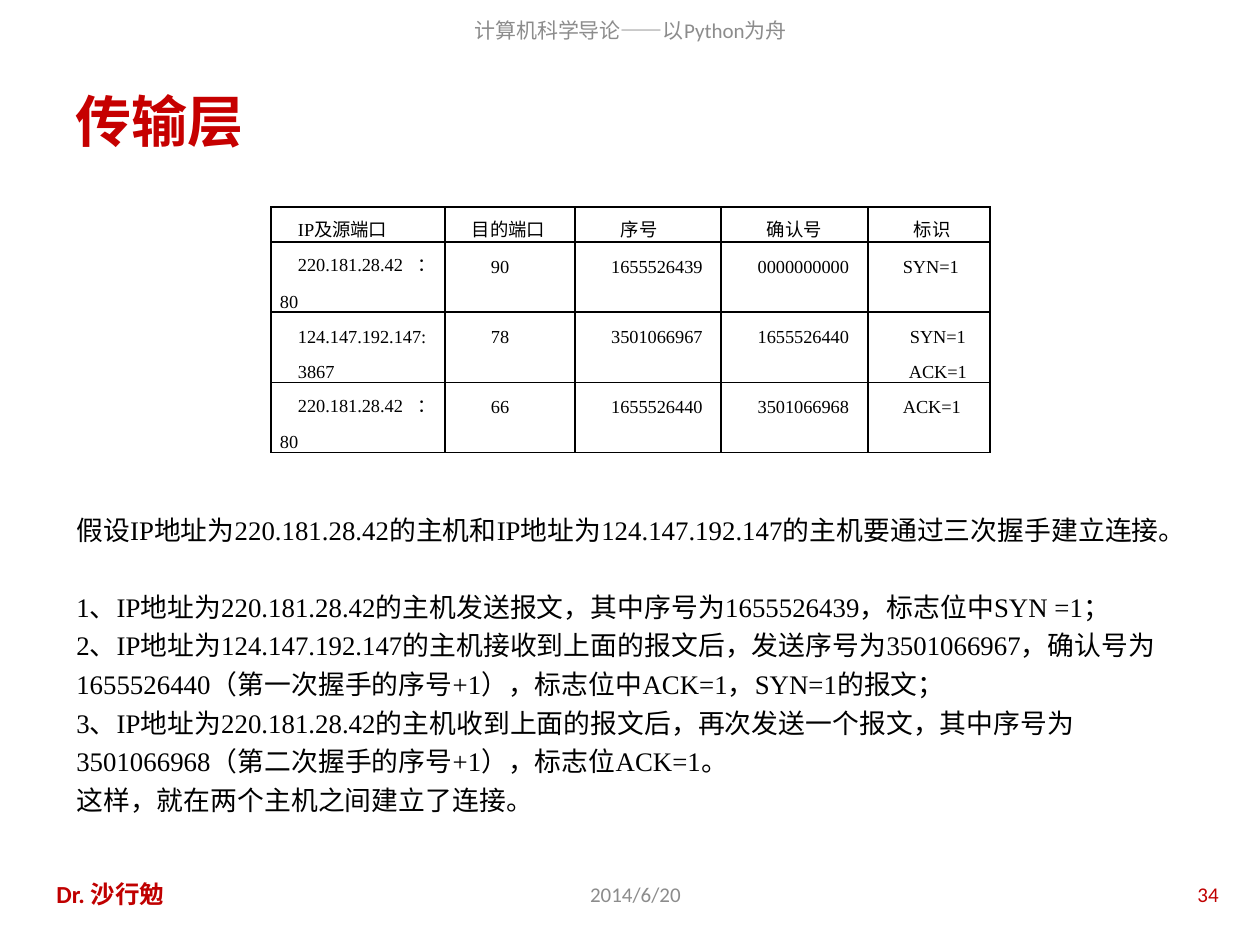
from typing import NamedTuple

from lxml import etree
from pptx import Presentation
from pptx.dml.color import RGBColor
from pptx.enum.lang import MSO_LANGUAGE_ID
from pptx.enum.text import MSO_ANCHOR, PP_ALIGN
from pptx.oxml.ns import qn
from pptx.util import Emu, Pt

LEFT, CENTER, RIGHT = PP_ALIGN.LEFT, PP_ALIGN.CENTER, PP_ALIGN.RIGHT
JUSTIFY = PP_ALIGN.JUSTIFY
TOP, MIDDLE = MSO_ANCHOR.TOP, MSO_ANCHOR.MIDDLE
CHINESE = MSO_LANGUAGE_ID.SIMPLIFIED_CHINESE

PX_PER_INCH = 126
COLORS = {"title": "C60000", "accent": "C00000", "muted": "8C8C8C", "ink": "000000"}
SANS, SERIF = "Calibri", "Times New Roman"


class Label(NamedTuple):
    text: str
    left: int
    top: int
    width: int
    height: int
    size: float
    color: str
    align: PP_ALIGN = LEFT
    bold: bool = False


class Entry(NamedTuple):
    text: str
    indent: int = 18
    align: PP_ALIGN = JUSTIFY


LABELS = [
    Label("计算机科学导论——以Python为舟", 194, 6, 873, 49, 12, "muted", CENTER),
    Label("传输层", 63, 76, 1134, 88, 32, "title", bold=True),
    Label("2014/6/20", 422, 869, 427, 50, 12, "muted", CENTER),
    Label("Dr. 沙行勉", 44, 869, 278, 50, 14, "accent", bold=True),
    Label("34", 937, 869, 294, 50, 12, "accent", RIGHT),
]

INTRO = "假设IP地址为220.181.28.42的主机和IP地址为124.147.192.147的主机要通过三次握手建立连接。"
HANDSHAKE = [
    "1、IP地址为220.181.28.42的主机发送报文，其中序号为1655526439，标志位中SYN =1；",
    "2、IP地址为124.147.192.147的主机接收到上面的报文后，发送序号为3501066967，"
    "确认号为1655526440（第一次握手的序号+1），标志位中ACK=1，SYN=1的报文；",
    "3、IP地址为220.181.28.42的主机收到上面的报文后，再次发送一个报文，"
    "其中序号为3501066968（第二次握手的序号+1），标志位ACK=1。",
    "这样，就在两个主机之间建立了连接。",
]

COLUMN_WIDTHS = [174, 130, 146, 147, 122]
LINE_HEIGHT = 35
ROW_LINES = [1, 2, 2, 2]
SEGMENTS = [
    [Entry("IP及源端口"), Entry("目的端口"), Entry("序号", 37),
     Entry("确认号", 37), Entry("标识", 37)],
    [Entry("220.181.28.42：80"), Entry("90", 37), Entry("1655526439", align=CENTER),
     Entry("0000000000", align=CENTER), Entry("SYN=1", 26)],
    [Entry("124.147.192.147:\n3867"), Entry("78", 37), Entry("3501066967", align=CENTER),
     Entry("1655526440", align=CENTER), Entry("SYN=1\nACK=1", align=CENTER)],
    [Entry("220.181.28.42：80"), Entry("66", 37), Entry("1655526440", align=CENTER),
     Entry("3501066968", align=CENTER), Entry("ACK=1", 26)],
]


def px(length: int) -> Emu:
    return Emu(round(length * 914400 / PX_PER_INCH))


def style(paragraph, face: str, size: float, color: str, align: PP_ALIGN,
          bold: bool = False) -> None:
    paragraph.alignment = align
    font = paragraph.font
    font.name, font.size, font.bold = face, Pt(size), bold
    font.color.rgb = RGBColor.from_string(COLORS[color])
    font.language_id = CHINESE


def add_frame(slide, left: int, top: int, width: int, height: int, anchor: MSO_ANCHOR):
    frame = slide.shapes.add_textbox(px(left), px(top), px(width), px(height)).text_frame
    frame.word_wrap = True
    frame.vertical_anchor = anchor
    return frame


def add_label(slide, label: Label) -> None:
    frame = add_frame(slide, label.left, label.top, label.width, label.height, MIDDLE)
    frame.text = label.text
    style(frame.paragraphs[0], SANS, label.size, label.color, label.align, label.bold)


def add_explanation(slide) -> None:
    frame = add_frame(slide, 64, 501, 1133, 338, TOP)
    frame.text = "\n".join([INTRO, *HANDSHAKE])
    for paragraph in frame.paragraphs:
        style(paragraph, SERIF, 15.3, "ink", LEFT)
        paragraph.line_spacing = 1.2
    frame.paragraphs[1].space_before = Pt(22)


def draw_borders(cell) -> None:
    properties = cell._tc.get_or_add_tcPr()
    for position, side in enumerate(("lnL", "lnR", "lnT", "lnB")):
        line = etree.Element(qn(f"a:{side}"), w=str(Pt(1)))
        fill = etree.SubElement(line, qn("a:solidFill"))
        etree.SubElement(fill, qn("a:srgbClr"), val=COLORS["ink"])
        properties.insert(position, line)


def fill_cell(cell, entry: Entry) -> None:
    cell.margin_left = cell.margin_right = px(9)
    cell.margin_top = cell.margin_bottom = 0
    cell.vertical_anchor = TOP
    cell.fill.background()
    draw_borders(cell)
    cell.text = entry.text
    for paragraph in cell.text_frame.paragraphs:
        style(paragraph, SERIF, 10.5, "ink", entry.align)
        paragraph.line_spacing = Pt(20)
        paragraph._p.get_or_add_pPr().set("indent", str(px(entry.indent)))


def add_segment_table(slide) -> None:
    table = slide.shapes.add_table(
        len(SEGMENTS), len(COLUMN_WIDTHS), px(271), px(207),
        px(sum(COLUMN_WIDTHS)), px(sum(ROW_LINES) * LINE_HEIGHT)).table
    table.first_row = table.horz_banding = False
    for column, width in zip(table.columns, COLUMN_WIDTHS):
        column.width = px(width)
    for row, lines, entries in zip(table.rows, ROW_LINES, SEGMENTS):
        row.height = px(lines * LINE_HEIGHT)
        for cell, entry in zip(row.cells, entries):
            fill_cell(cell, entry)


def main() -> None:
    deck = Presentation()
    deck.slide_width, deck.slide_height = px(1260), px(945)
    slide = deck.slides.add_slide(deck.slide_layouts[6])
    for label in LABELS:
        add_label(slide, label)
    add_explanation(slide)
    add_segment_table(slide)
    deck.save("out.pptx")


if __name__ == "__main__":
    main()
